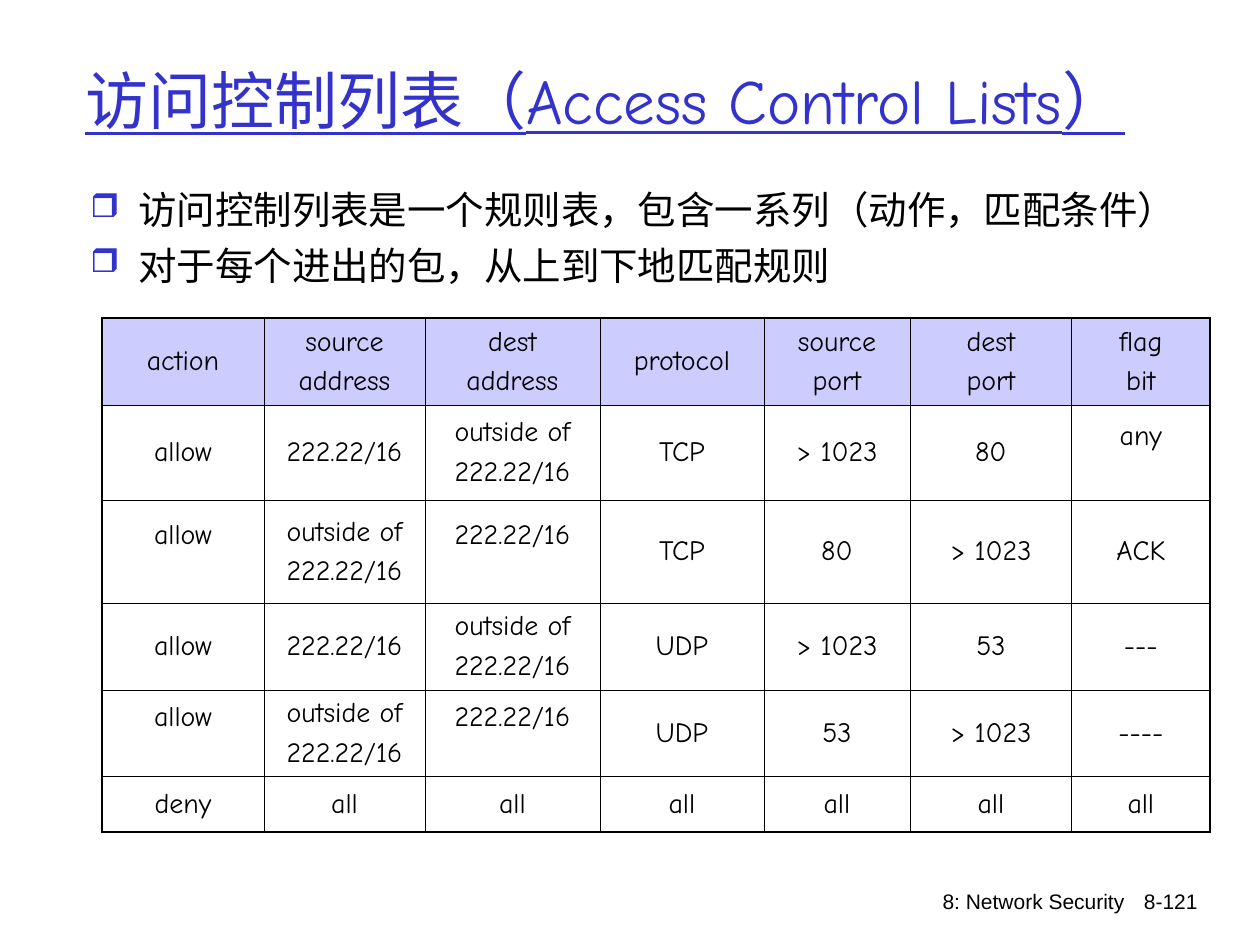
from lxml.etree import SubElement
from pptx import Presentation
from pptx.dml.color import RGBColor
from pptx.enum.text import MSO_ANCHOR as Anchor, PP_ALIGN as Align
from pptx.oxml.ns import qn
from pptx.util import Pt

PX = 914400 / 126
BLACK = RGBColor(0x00, 0x00, 0x00)
BLUE = RGBColor(0x33, 0x33, 0xCC)
LAVENDER = RGBColor(0xCC, 0xCC, 0xFF)
HAND = "Comic Neue"


def px(length):
    return round(length * PX)


def write(frame, lines, size, font=HAND, color=BLACK, align=Align.LEFT,
          gap=0, underline=None, bullet=None):
    """Fill a text frame, one paragraph per line, with a gap between them."""
    for index, line in enumerate(lines):
        paragraph = frame.add_paragraph() if index else frame.paragraphs[0]
        paragraph.alignment = align
        paragraph.space_before = Pt(gap if index else 0)
        if bullet:
            props = paragraph._p.get_or_add_pPr()
            props.set("marL", str(px(48)))
            props.set("indent", str(px(-48)))
            bullet_color = SubElement(props, qn("a:buClr"))
            SubElement(bullet_color, qn("a:srgbClr"), val=str(BLUE))
            SubElement(props, qn("a:buSzPct"), val="85000")
            SubElement(props, qn("a:buChar"), char=bullet)
        run = paragraph.add_run()
        run.text = line
        run.font.size = Pt(size)
        run.font.name = font
        run.font.color.rgb = color
        run.font.underline = underline


prs = Presentation()
prs.slide_width, prs.slide_height = px(1260), px(945)
slide = prs.slides.add_slide(prs.slide_layouts[6])

# Footer
for text, left, width in [("8: Network Security", 737, 400), ("8-121", 1109, 101)]:
    footer = slide.shapes.add_textbox(px(left), px(882), px(width), px(40)).text_frame
    footer.word_wrap = True
    write(footer, [text], 12, font="Arial", align=Align.RIGHT)

# Rule table
widths = [162, 161, 175, 164, 146, 162, 138]
heights = [87, 95, 103, 87, 87, 55]
inside, outside = "222.22/16", "outside of\n222.22/16"
rules = [
    ["action", "source\naddress", "dest\naddress", "protocol",
     "source\nport", "dest\nport", "flag\nbit"],
    ["allow", inside, outside, "TCP", "> 1023", "80", "any"],
    ["allow", outside, inside, "TCP", "80", "> 1023", "ACK"],
    ["allow", inside, outside, "UDP", "> 1023", "53", "---"],
    ["allow", outside, inside, "UDP", "53", "> 1023", "----"],
    ["deny"] + ["all"] * 6,
]
raised = {(1, 6), (2, 0), (2, 2), (4, 0), (4, 2)}
last_row, last_col = len(heights) - 1, len(widths) - 1

table = slide.shapes.add_table(len(heights), len(widths), px(102), px(318),
                               px(sum(widths)), px(sum(heights))).table
for column, width in zip(table.columns, widths):
    column.width = px(width)
for row, height in zip(table.rows, heights):
    row.height = px(height)

for r, rule in enumerate(rules):
    for c, text in enumerate(rule):
        cell = table.cell(r, c)
        cell.vertical_anchor = Anchor.MIDDLE
        cell.margin_left = cell.margin_right = px(13)
        cell.margin_top = px(6)
        cell.margin_bottom = px(38 if (r, c) in raised else 6)
        write(cell.text_frame, text.split("\n"), 16, align=Align.CENTER, gap=4)
        edges = {"L": c == 0, "R": c == last_col, "T": r == 0, "B": r == last_row}
        for side, is_outer in edges.items():
            border = SubElement(cell._tc.get_or_add_tcPr(), qn(f"a:ln{side}"),
                                w=str(Pt(1.08 if is_outer else 0.45)))
            SubElement(SubElement(border, qn("a:solidFill")),
                       qn("a:srgbClr"), val=str(BLACK))
        if r == 0:
            cell.fill.solid()
            cell.fill.fore_color.rgb = LAVENDER
        else:
            cell.fill.background()

# Title
title = slide.shapes.add_textbox(px(73), px(32), px(1133), px(134)).text_frame
title.word_wrap = True
title.vertical_anchor = Anchor.MIDDLE
write(title, ["访问控制列表（Access Control Lists）"], 36, color=BLUE, underline=True)

# Key points
points = slide.shapes.add_textbox(px(78), px(180), px(1137), px(122)).text_frame
points.word_wrap = True
write(points, ["访问控制列表是一个规则表，包含一系列（动作，匹配条件）",
               "对于每个进出的包，从上到下地匹配规则"], 22, gap=5.5, bullet="❒")

prs.save("out.pptx")
